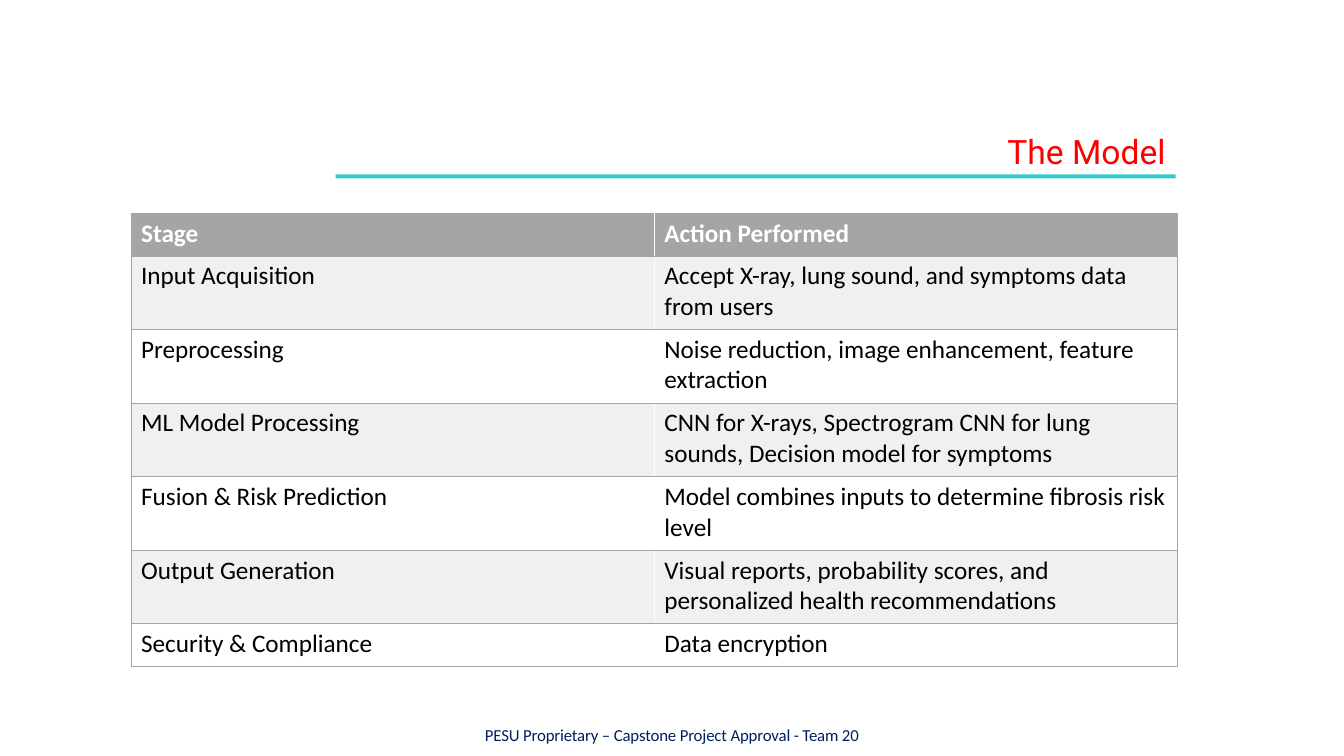
from dataclasses import dataclass

from lxml import etree
from pptx import Presentation
from pptx.dml.color import RGBColor
from pptx.enum import shapes, text
from pptx.oxml import ns
from pptx.util import Inches, Pt


@dataclass(frozen=True)
class Theme:
    title_font: str = "Roboto"
    body_font: str = "Calibri"
    title_size: float = 24
    table_size: float = 18
    footer_size: float = 12
    table_leading: float = 21.8
    title: str = "FF0000"
    rule: str = "33CCCC"
    footer: str = "002060"
    header: str = "A5A5A5"
    band: str = "F0F0F0"
    light: str = "FFFFFF"
    dark: str = "000000"


STAGES = [
    ("Stage", "Action Performed"),
    ("Input Acquisition", "Accept X-ray, lung sound, and symptoms data from users"),
    ("Preprocessing", "Noise reduction, image enhancement, feature extraction"),
    ("ML Model Processing",
     "CNN for X-rays, Spectrogram CNN for lung sounds, Decision model for symptoms"),
    ("Fusion & Risk Prediction",
     "Model combines inputs to determine fibrosis risk level"),
    ("Output Generation",
     "Visual reports, probability scores, and personalized health recommendations"),
    ("Security & Compliance", "Data encryption"),
]
SHORT_ROW, TALL_ROW = 0.42, 0.73
ROW_HEIGHTS = [SHORT_ROW] + [TALL_ROW] * 5 + [SHORT_ROW]


class SlideBuilder:
    def __init__(self, slide, theme):
        self.slide = slide
        self.theme = theme

    def add_run(self, paragraph, words, font, size, color, bold=False):
        run = paragraph.add_run()
        run.text = words
        run.font.name = font
        run.font.size = Pt(size)
        run.font.bold = bold
        run.font.color.rgb = RGBColor.from_string(color)
        return run

    def title(self, words, left, top, width, height):
        heading = self.slide.shapes.title
        heading.left, heading.top = Inches(left), Inches(top)
        heading.width, heading.height = Inches(width), Inches(height)
        frame = heading.text_frame
        frame.word_wrap = True
        frame.auto_size = text.MSO_AUTO_SIZE.SHAPE_TO_FIT_TEXT
        frame.vertical_anchor = text.MSO_ANCHOR.TOP
        line = frame.paragraphs[0]
        line.alignment = text.PP_ALIGN.RIGHT
        self.add_run(line, words, self.theme.title_font,
                     self.theme.title_size, self.theme.title)

    def rule(self, left, top, width, height):
        bar = self.slide.shapes.add_shape(
            shapes.MSO_SHAPE.RECTANGLE,
            Inches(left), Inches(top), Inches(width), Inches(height))
        bar.shadow.inherit = False
        bar.fill.solid()
        bar.fill.fore_color.rgb = RGBColor.from_string(self.theme.rule)
        bar.line.fill.background()

    def footer(self, words, left, top, width, height):
        note = self.slide.shapes.add_textbox(
            Inches(left), Inches(top), Inches(width), Inches(height))
        frame = note.text_frame
        frame.word_wrap = True
        frame.vertical_anchor = text.MSO_ANCHOR.BOTTOM
        frame.margin_top = 0
        frame.margin_bottom = Inches(0.12)
        line = frame.paragraphs[0]
        line.alignment = text.PP_ALIGN.CENTER
        run = self.add_run(line, words, self.theme.body_font,
                           self.theme.footer_size, self.theme.footer)
        run.font._element.set("spc", "-10")

    def border(self, cell, side, color, points):
        edge = etree.SubElement(cell._tc.get_or_add_tcPr(), ns.qn(f"a:ln{side}"),
                                w=str(Pt(points)))
        fill = etree.SubElement(edge, ns.qn("a:solidFill"))
        etree.SubElement(fill, ns.qn("a:srgbClr"), val=color)

    def cell(self, cell, words, row, column):
        theme = self.theme
        outer, inner = (theme.header, 0.75), (theme.light, 1)
        self.border(cell, "L", *(inner if column else outer))
        self.border(cell, "R", *(outer if column else inner))
        self.border(cell, "T", *outer)
        self.border(cell, "B", *outer)
        is_header = row == 0
        shade = theme.header if is_header else theme.band if row % 2 else theme.light
        cell.fill.solid()
        cell.fill.fore_color.rgb = RGBColor.from_string(shade)
        line = cell.text_frame.paragraphs[0]
        line.line_spacing = Pt(theme.table_leading)
        self.add_run(line, words, theme.body_font, theme.table_size,
                     theme.light if is_header else theme.dark, is_header)

    def table(self, rows, heights, left, top, width):
        columns = len(rows[0])
        grid = self.slide.shapes.add_table(
            len(rows), columns, Inches(left), Inches(top),
            Inches(width), Inches(sum(heights))).table
        for column in grid.columns:
            column.width = Inches(width / columns)
        for r, (words, height) in enumerate(zip(rows, heights)):
            grid.rows[r].height = Inches(height)
            for c, entry in enumerate(words):
                self.cell(grid.cell(r, c), entry, r, c)


def main():
    deck = Presentation()
    deck.slide_width, deck.slide_height = Inches(13.33), Inches(7.5)
    title_only = deck.slide_layouts[5]
    builder = SlideBuilder(deck.slides.add_slide(title_only), Theme())
    builder.footer("PESU Proprietary – Capstone Project Approval - Team 20",
                   3.94, 7.24, 5.45, 0.27)
    builder.rule(3.33, 1.73, 8.33, 0.04)
    builder.title("The Model", 4.58, 1.25, 7.08, 0.5)
    builder.table(STAGES, ROW_HEIGHTS, 1.3, 2.12, 10.38)
    deck.save("out.pptx")


if __name__ == "__main__":
    main()
